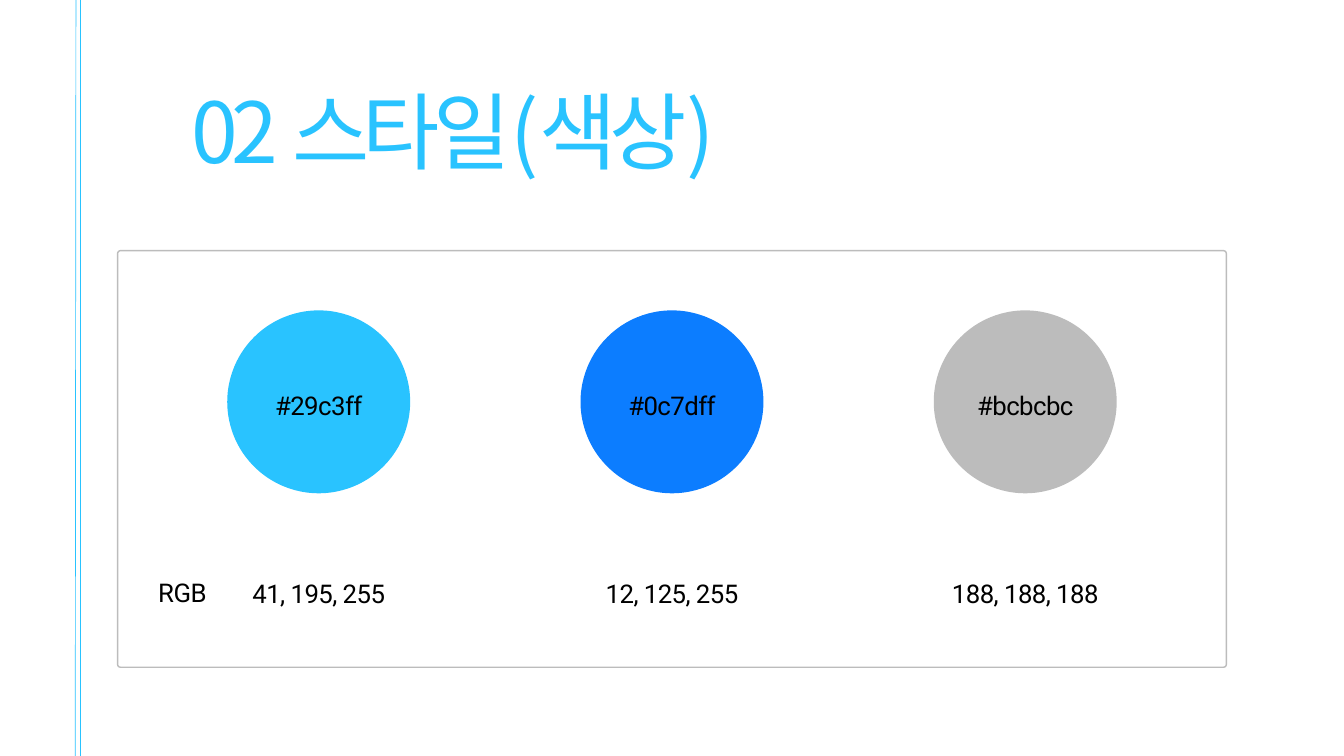
import pptx
import pptx.util
import pptx.dml.color
import pptx.enum.shapes
import pptx.enum.text
import pptx.oxml.ns
import lxml.etree

Pt = pptx.util.Pt
KIND = pptx.enum.shapes.MSO_SHAPE
CYAN, BLUE, GRAY, BLACK = "29C3FF", "0C7DFF", "BCBCBC", "000000"
SWATCHES = [
    ("#29c3ff", "41, 195, 255", CYAN),
    ("#0c7dff", "12, 125, 255", BLUE),
    ("#bcbcbc", "188, 188, 188", GRAY),
]


def paint(target, color):
    """Give a colour format a hex colour."""
    target.rgb = pptx.dml.color.RGBColor.from_string(color)


def write(shapes, box, text, size=27.6, font="Roboto", color=BLACK,
          lead=38.6, track=-60, center=True):
    """Add a text box holding one run."""
    frame = shapes.add_textbox(*map(Pt, box)).text_frame
    frame.margin_left = frame.margin_right = 0
    frame.margin_top = frame.margin_bottom = 0
    frame.word_wrap = True
    frame.auto_size = pptx.enum.text.MSO_AUTO_SIZE.SHAPE_TO_FIT_TEXT
    para = frame.paragraphs[0]
    para.line_spacing = Pt(lead)
    align = pptx.enum.text.PP_ALIGN
    para.alignment = align.CENTER if center else align.LEFT
    run = para.add_run()
    run.text = text
    run.font.size = Pt(size)
    run.font.name = font
    paint(run.font.color, color)
    props = run.font._element
    props.set("spc", str(track))
    east = lxml.etree.Element(pptx.oxml.ns.qn("a:ea"), typeface=font)
    props.find(pptx.oxml.ns.qn("a:latin")).addnext(east)


def rails(slide, box):
    """Draw the two upright lines along the left edge."""
    left, top, width, height = box
    ends = [(left, left + 0.72), (left + width, left + width)]
    for foot, head in ends:
        line = slide.shapes.add_connector(
            pptx.enum.shapes.MSO_CONNECTOR.STRAIGHT,
            Pt(foot), Pt(top + height), Pt(head), Pt(top))
        paint(line.line.color, CYAN)
        line.line.width = Pt(0.75)
        lxml.etree.SubElement(line._element.spPr,
                              pptx.oxml.ns.qn("a:effectLst"))


def title(slide, box):
    """Write the slide title."""
    write(slide.shapes, box, "02\t스타일(색상)", 90, "Noto Sans CJK KR",
          CYAN, 126, -720, False)


def swatch(slide, box, code, value, color):
    """Place a coloured disc with its code inside and its value below."""
    left, top, width, height = box
    group = slide.shapes.add_group_shape()
    disc = group.shapes.add_shape(KIND.OVAL, Pt(left), Pt(top),
                                  Pt(width), Pt(width))
    disc.shadow.inherit = False
    disc.fill.solid()
    paint(disc.fill.fore_color, color)
    disc.line.fill.background()
    write(group.shapes, (left + 33, top + 80, width - 66, 33.84), code)
    write(slide.shapes, (left + 12, top + height - 33.84, width - 24, 33.84),
          value)


def panel(slide, box):
    """Draw the framed panel with its evenly spaced swatches."""
    left, top, width, height = box
    frame = slide.shapes.add_shape(KIND.ROUNDED_RECTANGLE, *map(Pt, box))
    frame.adjustments[0] = 0.007
    frame.shadow.inherit = False
    frame.fill.background()
    paint(frame.line.color, GRAY)
    frame.line.width = Pt(1.5)
    size, step = 196, 378.5
    first = left + (width - size - step * (len(SWATCHES) - 1)) / 2
    for i, item in enumerate(SWATCHES):
        swatch(slide, (first + i * step, top + 64, size, 314.7), *item)
    write(slide.shapes, (left + 21.6, top + 343.44, 95.76, 36.72), "RGB")


def main():
    """Build and save the slide."""
    deck = pptx.Presentation()
    deck.slide_width, deck.slide_height = Pt(1440), Pt(810)
    slide = deck.slides.add_slide(deck.slide_layouts[6])
    rails(slide, (80.64, 0, 5.04, 810))
    panel(slide, (126, 268.56, 1188, 446.4))
    title(slide, (205.2, 66.96, 919.44, 117.36))
    deck.save("out.pptx")


if __name__ == "__main__":
    main()
